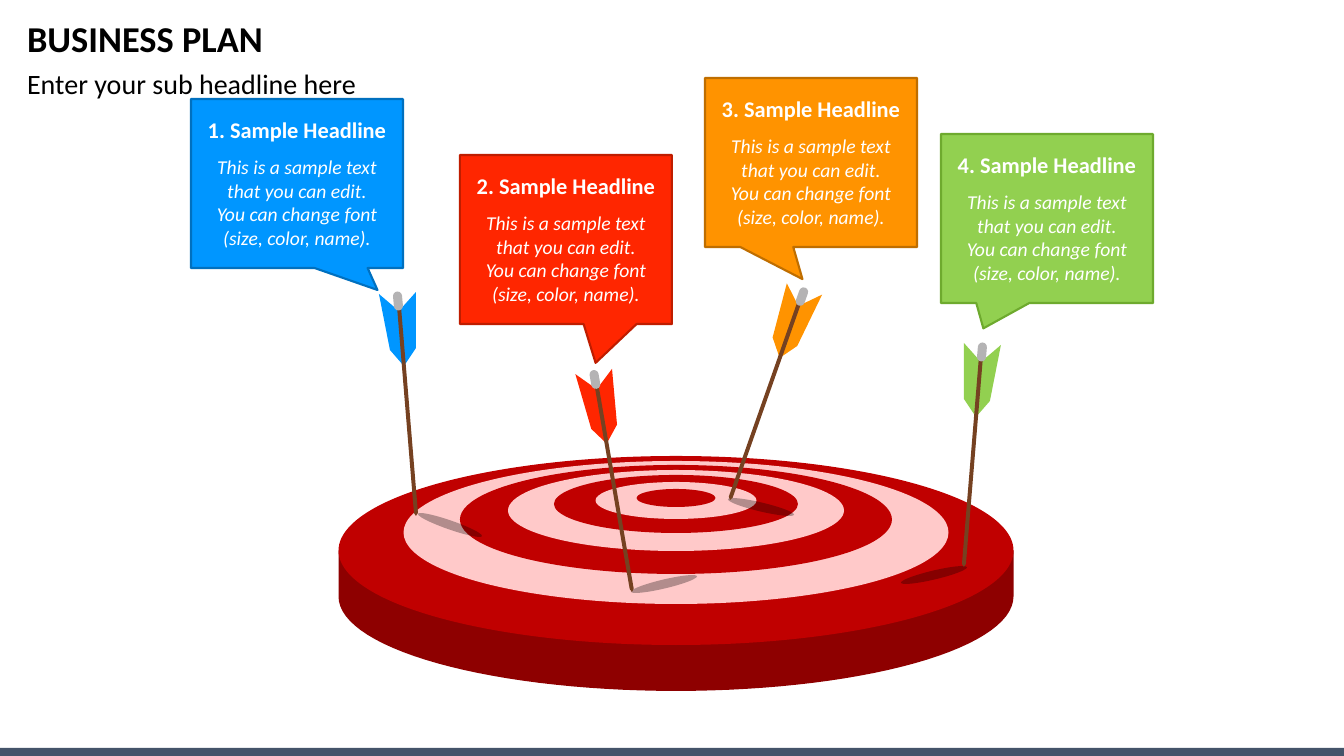
import math

import pptx
import pptx.dml.color
import pptx.enum.shapes
import pptx.enum.text
import pptx.oxml.ns
import pptx.util
from lxml import etree

RGB = pptx.dml.color.RGBColor
KIND = pptx.enum.shapes.MSO_SHAPE
FIT = pptx.enum.text.MSO_AUTO_SIZE
ALIGN = pptx.enum.text.PP_ALIGN
MIDDLE = pptx.enum.text.MSO_ANCHOR.MIDDLE

BLACK = RGB(0x00, 0x00, 0x00)
WHITE = RGB(0xFF, 0xFF, 0xFF)
NAVY = RGB(0x44, 0x54, 0x6A)
MAROON = RGB(0x8E, 0x00, 0x00)
RED = RGB(0xC0, 0x00, 0x00)
PINK = RGB(0xFF, 0xC9, 0xC9)
BROWN = RGB(0x75, 0x41, 0x21)
GREY = RGB(0xB4, 0xB3, 0xB4)

TITLE = "BUSINESS PLAN"
SUB = "Enter your sub headline here"
BODY = ("This is a sample text that you can edit. "
        "You can change font (size, color, name).")

# Each step: headline, callout corner, pointer, fill and line
STEPS = [
    ("1. Sample Headline", (191, 99), (0.38, 0.63),
     RGB(0x00, 0x96, 0xFF), RGB(0x00, 0x70, 0xBF)),
    ("2. Sample Headline", (460, 155), (0.14, 0.73),
     RGB(0xFF, 0x26, 0x00), RGB(0xBF, 0x1D, 0x00)),
    ("3. Sample Headline", (705, 78), (-0.04, 0.69),
     RGB(0xFF, 0x93, 0x00), RGB(0xBF, 0x6E, 0x00)),
    ("4. Sample Headline", (941, 134), (-0.3, 0.65),
     RGB(0x92, 0xD0, 0x50), RGB(0x6E, 0xAA, 0x2E)),
]
# Each arrow: tip, side (-1 mirrors), tilt, shadow offset and shadow tilt
ARROWS = [
    ((416, 516), 1, 0, (34, 9), 19.2),
    ((632, 592), 1, -5.1, (32, -8), -13.3),
    ((730, 500), -1, 14.7, (31, 7), 13.3),
    ((964, 567), -1, 0, (-30, 8), -13.3),
]
# Arrow parts, measured from the tip
VANE = [(-37, -222), (-17, -205), (0, -224), (0, -168), (-12, -150), (-26, -166)]
SHAFT = [(2, -3), (0, 0), (-2, -3), (-20, -222), (-16, -222)]
NOCK = (-18, -215)
NOCK_TILT = -5

# Each ring: width, top, height
RINGS = [(675, 456, 189), (545, 461, 143), (432, 465, 109), (336, 470, 81),
         (244, 475, 58), (161, 482, 37), (79, 489, 18)]
MID = 676
DEPTH = 46
CARD = (212, 169)

PX = 914400 / 100.8


def px(*vals):
    return [pptx.util.Emu(round(val * PX)) for val in vals]


deck = pptx.Presentation()
deck.slide_width, deck.slide_height = px(1344, 756)
slide = deck.slides.add_slide(deck.slide_layouts[1])
shapes = slide.shapes


def paint(shape, fill, line=None):
    shape.shadow.inherit = False
    shape.fill.solid()
    shape.fill.fore_color.rgb = fill
    if line is None:
        shape.line.fill.background()
    else:
        shape.line.color.rgb = line
        shape.line.width = pptx.util.Pt(1.5)
    return shape


def draw(kind, box, fill, line=None):
    return paint(shapes.add_shape(kind, *px(*box)), fill, line)


def trace(points, fill):
    """Draw a closed outline through points given in px."""
    spots = [px(*point) for point in points]
    pen = shapes.build_freeform(*spots[0], scale=1.0)
    pen.add_line_segments(spots[1:], close=True)
    return paint(pen.convert_to_shape(), fill)


def style(para, size, color, align, bold=False, italic=False):
    para.alignment = align
    font = para.font
    font.name = "Calibri"
    font.size = pptx.util.Pt(size)
    font.color.rgb = color
    font.bold = bold
    font.italic = italic


def label(box, text, size, **look):
    frame = shapes.add_textbox(*px(*box)).text_frame
    frame.word_wrap = True
    frame.auto_size = FIT.SHAPE_TO_FIT_TEXT
    frame.text = text
    style(frame.paragraphs[0], size, WHITE, ALIGN.CENTER, **look)


def head(holder, box, text, size, gap, bold=False):
    """Move a placeholder and fill it with one plain line."""
    holder.left, holder.top, holder.width, holder.height = px(*box)
    frame = holder.text_frame
    frame.auto_size = FIT.NONE
    frame.text = text
    para = frame.paragraphs[0]
    para.line_spacing = 0.9
    para.space_before = pptx.util.Pt(gap)
    props = para._p.get_or_add_pPr()
    props.set("marL", "0")
    props.set("indent", "0")
    etree.SubElement(props, pptx.oxml.ns.qn("a:buNone"))
    style(para, size, BLACK, ALIGN.LEFT, bold=bold)
    return frame


def target():
    wide, top, high = RINGS[0]
    base = top + high / 2 + DEPTH
    arc = [(MID + wide / 2 * math.cos(math.radians(turn)),
            base + high / 2 * math.sin(math.radians(turn)))
           for turn in range(0, 181, 3)]
    trace([(MID + wide / 2, base - DEPTH), *arc,
           (MID - wide / 2, base - DEPTH)], MAROON)
    for rank, (wide, top, high) in enumerate(RINGS):
        draw(KIND.OVAL, (MID - wide / 2, top, wide, high),
             PINK if rank % 2 else RED)


def shade(x, y, tilt):
    oval = draw(KIND.OVAL, (x - 34, y - 4.5, 68, 9), BLACK)
    oval.rotation = tilt
    color = oval.fill._xPr.find(".//" + pptx.oxml.ns.qn("a:srgbClr"))
    etree.SubElement(color, pptx.oxml.ns.qn("a:alpha"), val="30000")


def arrow(tip, side, tilt, fill):
    cos, sin = math.cos(math.radians(tilt)), math.sin(math.radians(tilt))

    def place(point):
        x, y = point[0] * side, point[1]
        return tip[0] + x * cos - y * sin, tip[1] + x * sin + y * cos

    vane = trace(map(place, VANE), fill)
    shaft = trace(map(place, SHAFT), BROWN)
    x, y = place(NOCK)
    nock = draw(KIND.ROUNDED_RECTANGLE, (x - 4.5, y - 9.5, 9, 19), GREY)
    nock.adjustments[0] = 0.5
    nock.rotation = NOCK_TILT * side + tilt
    shapes.add_group_shape([vane, shaft, nock])


def card(title, spot, point, fill, line):
    x, y = spot
    wide, high = CARD
    box = draw(KIND.RECTANGULAR_CALLOUT, (x, y, wide, high), fill, line)
    box.adjustments[0], box.adjustments[1] = point
    label((x, y + 12, wide, 37), title, 16, bold=True)
    label((x + 11, y + 51, wide - 22, 105), BODY, 14, italic=True)


draw(KIND.RECTANGLE, (0, 748, 1344, 8), NAVY)
title = head(shapes.title, (17, 17, 1310, 48), TITLE, 26, 0, bold=True)
title.vertical_anchor = MIDDLE
head(slide.placeholders[1], (17, 65, 1310, 65), SUB, 20, 10)

target()
for (tip, side, tilt, shift, lean), step in zip(ARROWS, STEPS):
    shade(tip[0] + shift[0], tip[1] + shift[1], lean)
    arrow(tip, side, tilt, step[3])
for step in STEPS:
    card(*step)

deck.save("out.pptx")
